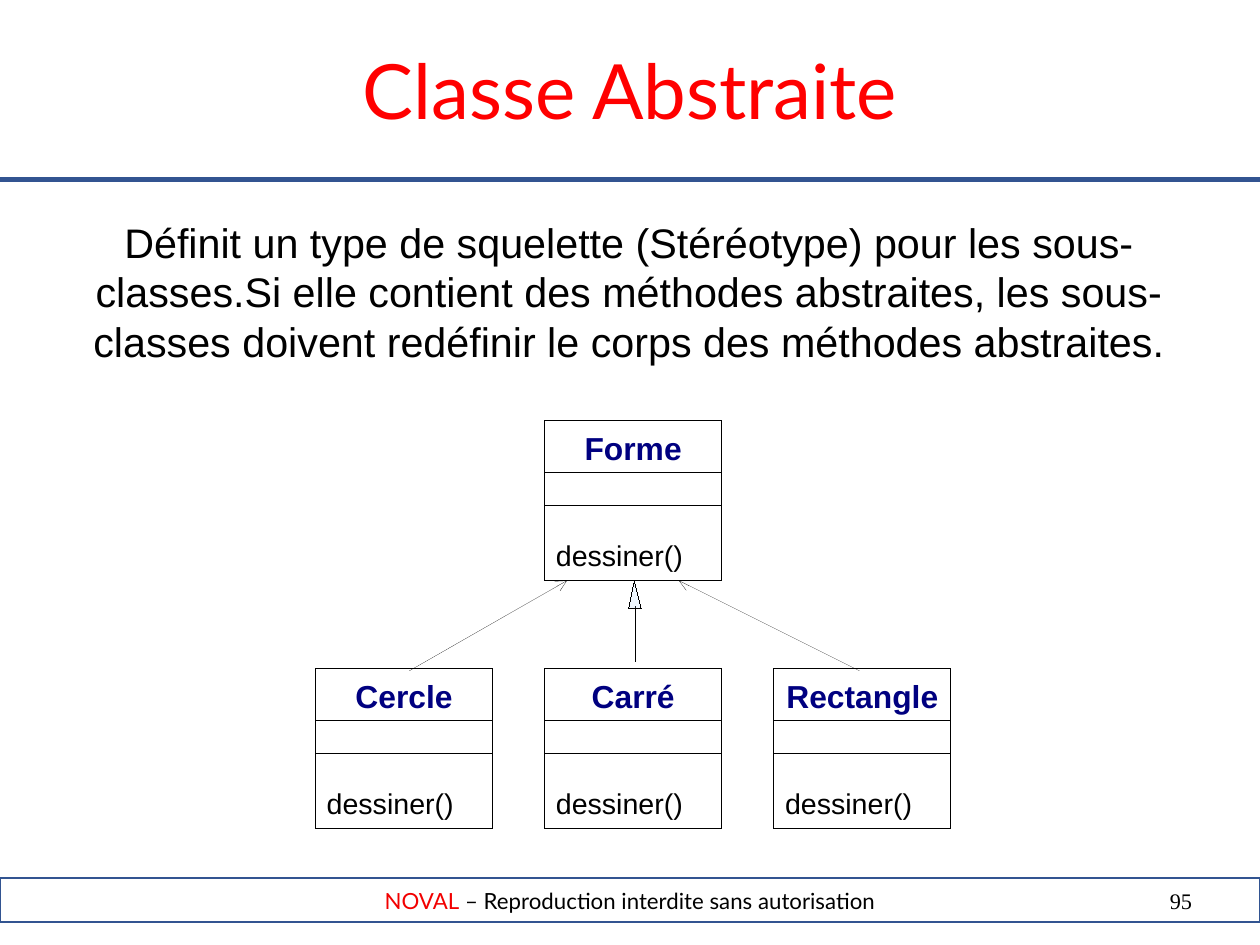
from lxml import etree
from pptx import Presentation
from pptx.dml.color import RGBColor
from pptx.enum.shapes import MSO_CONNECTOR, MSO_SHAPE
from pptx.enum.text import MSO_ANCHOR, PP_ALIGN
from pptx.oxml.ns import qn
from pptx.util import Inches, Pt

TITLE = "Classe Abstraite"
DEFINITION = ("Définit un type de squelette (Stéréotype) pour les sous-classes."
              "Si elle contient des méthodes abstraites, les sous-classes doivent "
              "redéfinir le corps des méthodes abstraites.")
OWNER, NOTICE = "NOVAL", " – Reproduction interdite sans autorisation"
PAGE = "95"
PARENT = "Forme"
CHILDREN = ["Cercle", "Carré", "Rectangle"]
METHOD = "dessiner()"
ARROWS = [((3.58, 5.87), (4.96, 5.08)), ((7.52, 5.87), (5.94, 5.08))]
STEM = ((5.56, 5.79), (5.56, 5.31))
HEAD = [(5.55, 5.08), (5.61, 5.32), (5.5, 5.32)]

CM_PER_INCH = 2.54
WIDTH, HEIGHT = 28 / CM_PER_INCH, 21 / CM_PER_INCH
CLASS_WIDTH, CLASS_HEIGHT = 1.55, 1.4
DIVIDERS = (0.45, 0.74)
FIRST_LEFT, LAST_LEFT = 2.76, 6.77
PITCH = (LAST_LEFT - FIRST_LEFT) / (len(CHILDREN) - 1)
PARENT_TOP, CHILD_TOP = 3.68, 5.85
BLACK, BLUE, NAVY, RED = "000000", "325491", "000080", "FF0000"

deck = Presentation()
deck.slide_width, deck.slide_height = Inches(WIDTH), Inches(HEIGHT)
slide = deck.slides.add_slide(deck.slide_layouts[6])
shapes = slide.shapes


def rgb(color):
    return RGBColor.from_string(color)


def style(run, size, font, color, bold=False):
    run.font.size, run.font.name, run.font.bold = Pt(size), font, bold
    run.font.color.rgb = rgb(color)


def outline(item, color, width):
    item.line.color.rgb = rgb(color)
    item.line.width = Pt(width)
    item._element.remove(item._element.find(qn("p:style")))


def set_insets(frame, across, down):
    frame.margin_left = frame.margin_right = Inches(across)
    frame.margin_top = frame.margin_bottom = Inches(down)


def add_line(start, end, color=BLACK, width=0, arrow=False):
    line = shapes.add_connector(MSO_CONNECTOR.STRAIGHT, *map(Inches, start + end))
    outline(line, color, width)
    if arrow:
        etree.SubElement(line.line._get_or_add_ln(), qn("a:tailEnd"), type="arrow")
    etree.SubElement(line._element.spPr, qn("a:effectLst"))


def add_box(left, top, width, height, color, line_width, anchor):
    box = shapes.add_shape(MSO_SHAPE.RECTANGLE, *map(Inches, (left, top, width, height)))
    box.shadow.inherit = False
    box.fill.background()
    outline(box, color, line_width)
    box.text_frame.word_wrap = True
    box.text_frame.vertical_anchor = anchor
    return box.text_frame


def add_text(text, place, size, font, color, align, across=0.1, down=0.05):
    frame = shapes.add_textbox(*map(Inches, place)).text_frame
    frame.word_wrap = True
    set_insets(frame, across, down)
    frame.text = text
    frame.paragraphs[0].alignment = align
    style(frame.paragraphs[0].runs[0], size, font, color)


def add_class(name, left, top):
    frame = add_box(left, top, CLASS_WIDTH, CLASS_HEIGHT, BLACK, 0, MSO_ANCHOR.TOP)
    set_insets(frame, 0.1, 0.07)
    frame.text = f"{name}\n{METHOD}"
    heading, method = frame.paragraphs
    heading.alignment, method.alignment = PP_ALIGN.CENTER, PP_ALIGN.LEFT
    method.space_before = Pt(45)
    style(heading.runs[0], 20, "Arial", NAVY, True)
    style(method.runs[0], 18, "Arial", BLACK)
    for offset in DIVIDERS:
        add_line((left, top + offset), (left + CLASS_WIDTH, top + offset))


footer = add_box(0, 7.68, WIDTH, 0.39, BLUE, 1.42, MSO_ANCHOR.MIDDLE)
set_insets(footer, 0.01, 0.01)
footer.paragraphs[0].alignment = PP_ALIGN.CENTER
for words, color in ((OWNER, "F20000"), (NOTICE, BLACK)):
    part = footer.paragraphs[0].add_run()
    part.text = words
    style(part, 14, "Lato", color)

add_line((0, 1.57), (WIDTH, 1.57), BLUE, 2.83)
add_text(PAGE, (7.9, 7.76, 2.53, 0.42), 14, "Times New Roman", BLACK, PP_ALIGN.RIGHT, 0, 0)
add_text(TITLE, (0.59, 0.33, 9.84, 0.87), 48, "Lato", RED, PP_ALIGN.CENTER)
add_text(DEFINITION, (0.59, 1.85, 9.84, 2.21), 26, "Arial", BLACK, PP_ALIGN.CENTER)

add_class(PARENT, FIRST_LEFT + PITCH, PARENT_TOP)
for column, child in enumerate(CHILDREN):
    add_class(child, FIRST_LEFT + column * PITCH, CHILD_TOP)

add_line(*STEM)
tip, *base = [(Inches(x), Inches(y)) for x, y in HEAD]
builder = shapes.build_freeform(*tip)
builder.add_line_segments(base, close=True)
head = builder.convert_to_shape()
head.shadow.inherit = False
head.fill.solid()
head.fill.fore_color.rgb = rgb("99CCFF")
tint = head._element.spPr.find(qn("a:solidFill")).find(qn("a:srgbClr"))
etree.SubElement(tint, qn("a:alpha"), val="15000")
outline(head, BLACK, 0)

for start, end in ARROWS:
    add_line(start, end, arrow=True)

deck.save("out.pptx")
